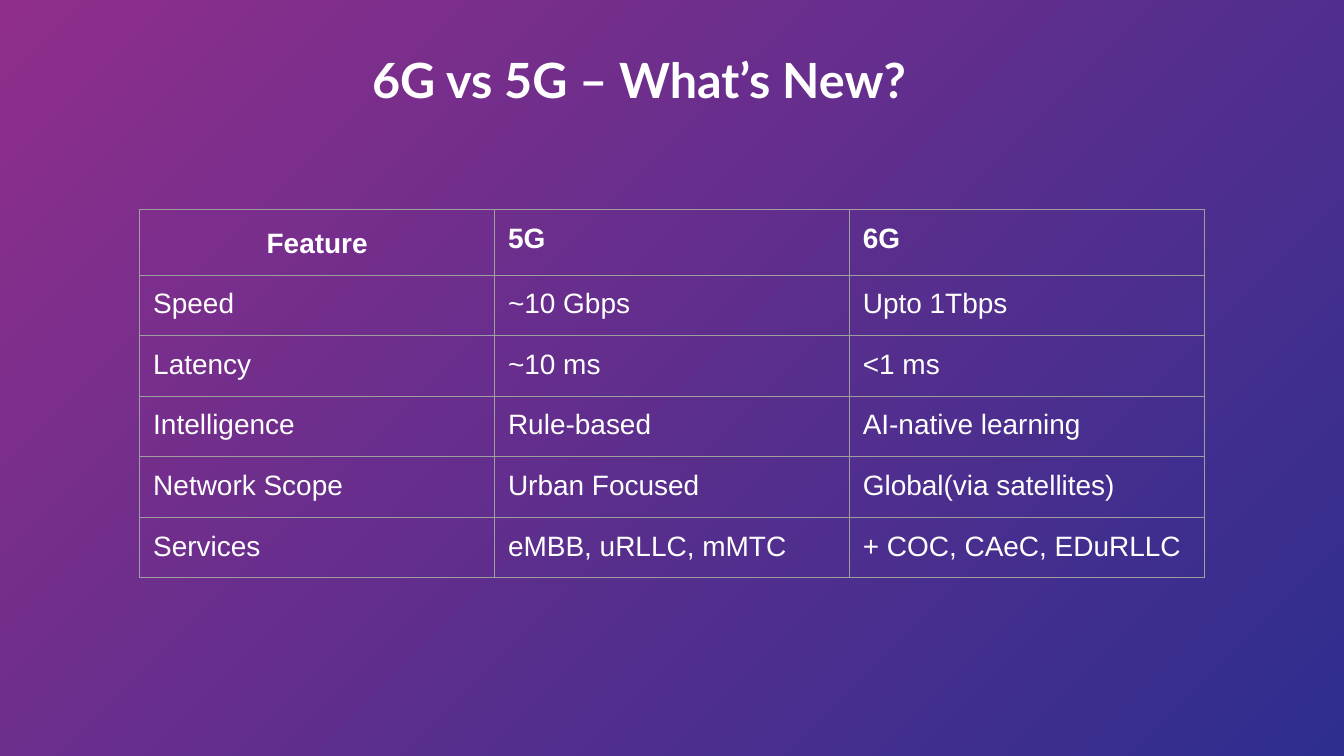
from dataclasses import dataclass

from lxml.etree import SubElement
from pptx import Presentation
from pptx.dml.color import RGBColor
from pptx.enum.text import PP_ALIGN
from pptx.oxml.ns import qn
from pptx.util import Inches, Pt


@dataclass(frozen=True)
class Theme:
    start: str = "8F2E8B"
    end: str = "2E2E8F"
    text: str = "FFFFFF"
    border: str = "9E9E9E"
    title_font: str = "Lato"
    body_font: str = "Arial"
    title_size: int = 26
    body_size: int = 15
    border_width: float = 0.75


theme = Theme()
COLUMN, ROW, INSET = Inches(2.64), Inches(0.42), Inches(0.1)

comparison = [
    ("Feature", "5G", "6G"),
    ("Speed", "~10 Gbps", "Upto 1Tbps"),
    ("Latency", "~10 ms", "<1 ms"),
    ("Intelligence", "Rule-based", "AI-native learning"),
    ("Network Scope", "Urban Focused", "Global(via satellites)"),
    ("Services", "eMBB, uRLLC, mMTC", "+ COC, CAeC, EDuRLLC"),
]


def write(frame, margin_owner, text, font_name, size, bold):
    """Fill a text frame with one styled paragraph, inset evenly in its box or cell."""
    frame.text = text
    frame.word_wrap = True
    for side in ("left", "right", "top", "bottom"):
        setattr(margin_owner, f"margin_{side}", INSET)
    font = frame.paragraphs[0].runs[0].font
    font.name, font.size, font.bold = font_name, Pt(size), bold
    font.color.rgb = RGBColor.from_string(theme.text)


def add_borders(cell):
    properties = cell._tc.get_or_add_tcPr()
    for index, edge in enumerate(("lnL", "lnR", "lnT", "lnB")):
        line = SubElement(properties, qn(f"a:{edge}"), w=str(Pt(theme.border_width)))
        SubElement(SubElement(line, qn("a:solidFill")), qn("a:srgbClr"), val=theme.border)
        properties.insert(index, line)  # borders come before the cell fill


deck = Presentation()
deck.slide_width = Inches(10)
deck.slide_height = deck.slide_width * 9 // 16
page = deck.slides.add_slide(deck.slide_layouts[6])

backdrop = page.background.fill
backdrop.gradient()
backdrop.gradient_angle = 315
for stop, color in zip(backdrop.gradient_stops, (theme.start, theme.end)):
    stop.color.rgb = RGBColor.from_string(color)

box = page.shapes.add_textbox(Inches(2.67), Inches(0.27), Inches(4.67), Inches(1.07))
title = box.text_frame
write(title, title, "6G vs 5G – What’s New?", theme.title_font, theme.title_size, True)

row_count, column_count = len(comparison), len(comparison[0])
table_width = COLUMN * column_count
table_frame = page.shapes.add_table(
    row_count, column_count,
    (deck.slide_width - table_width) // 2, Inches(1.56),
    table_width, ROW * row_count,
)
table_frame.width = table_frame.height = Inches(3.28)  # rows and columns keep their own sizes
table = table_frame.table
table.horz_banding = False

for row_index, values in enumerate(comparison):
    for column_index, value in enumerate(values):
        cell = table.cell(row_index, column_index)
        write(cell.text_frame, cell, value, theme.body_font, theme.body_size, row_index == 0)
        cell.fill.background()
        add_borders(cell)

corner = table.cell(0, 0).text_frame.paragraphs[0]
corner.alignment = PP_ALIGN.CENTER
corner.line_spacing = 1.15

deck.save("out.pptx")
